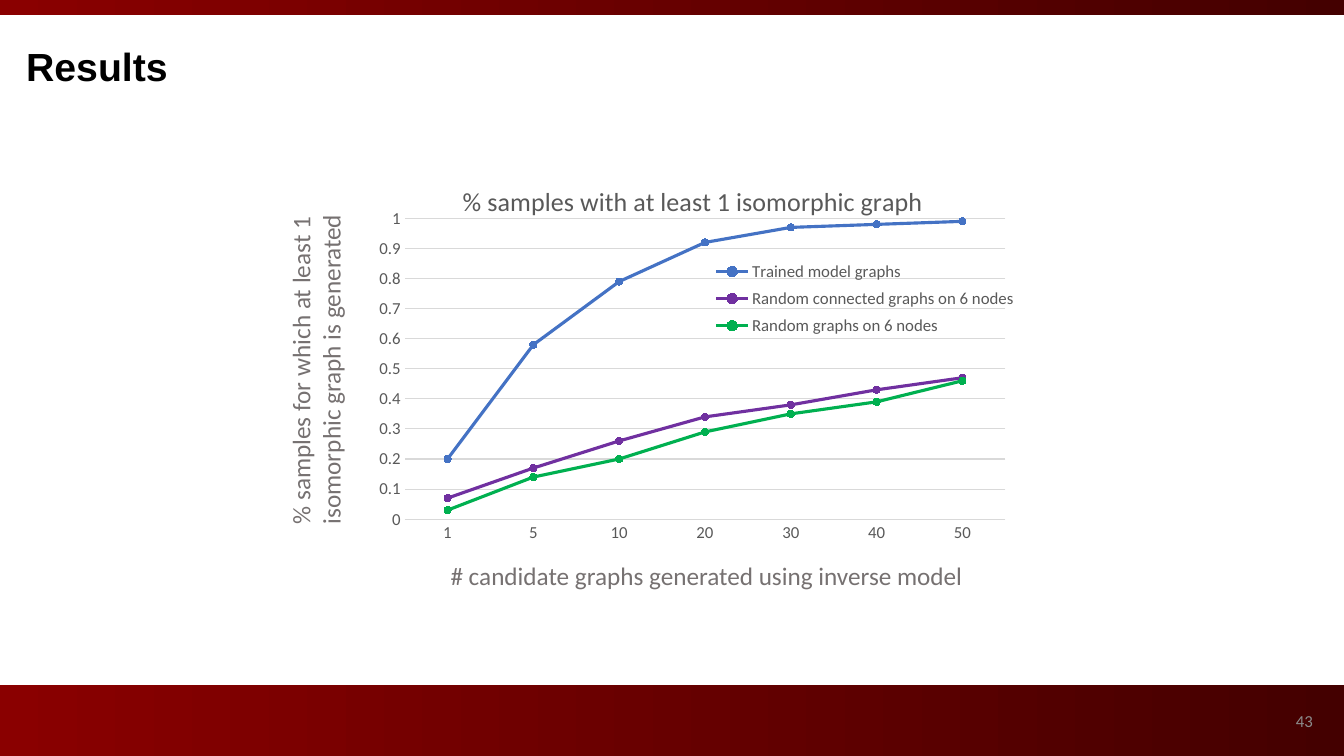
"""Build the results slide with its line chart of isomorphic graph rates."""
import dataclasses

import lxml.etree
import pptx
import pptx.chart.data
import pptx.dml.color
import pptx.enum.chart
import pptx.enum.shapes
import pptx.enum.text
import pptx.oxml.ns
import pptx.util

Inches = pptx.util.Inches
Pt = pptx.util.Pt


@dataclasses.dataclass(frozen=True)
class Theme:
    heading_font: str = "Arial"
    body_font: str = "Calibri"
    black: str = "000000"
    band_start: str = "8A0000"
    band_end: str = "440000"
    page_grey: str = "8C8C8C"
    label_grey: str = "767171"
    chart_grey: str = "595959"
    grid_grey: str = "D9D9D9"
    blue: str = "4472C4"
    purple: str = "7030A0"
    green: str = "00B050"
    heading_size: float = 28
    chart_title_size: float = 18.6
    label_size: float = 18
    small_size: float = 12


def rgb(color):
    return pptx.dml.color.RGBColor.from_string(color)


def style_font(font, name, size, color, bold=False):
    font.name = name
    font.size = Pt(size)
    font.color.rgb = rgb(color)
    font.bold = bold


def place_chart_part(element, index, **layout):
    qualified = pptx.oxml.ns.qn
    for previous in element.findall(qualified("c:layout")):
        element.remove(previous)
    outer = lxml.etree.Element(qualified("c:layout"))
    element.insert(index, outer)
    manual = lxml.etree.SubElement(outer, qualified("c:manualLayout"))
    for tag, value in layout.items():
        lxml.etree.SubElement(manual, qualified(f"c:{tag}")).set("val", str(value))


class SlideBuilder:
    def __init__(self, presentation, theme):
        self.theme = theme
        self.slide = presentation.slides.add_slide(presentation.slide_layouts[5])

    def band(self, top, height):
        shape = self.slide.shapes.add_shape(
            pptx.enum.shapes.MSO_SHAPE.RECTANGLE,
            0, Inches(top), Inches(13.33), Inches(height))
        shape.shadow.inherit = False
        shape.line.fill.background()
        shape.fill.gradient()
        shape.fill.gradient_angle = 0
        colors = (self.theme.band_start, self.theme.band_end)
        for stop, color in zip(shape.fill.gradient_stops, colors):
            stop.color.rgb = rgb(color)

    def title(self, text, left, top, width, height):
        shape = self.slide.shapes.title
        shape.left, shape.top = Inches(left), Inches(top)
        shape.width, shape.height = Inches(width), Inches(height)
        shape.text_frame.text = text
        shape.text_frame.vertical_anchor = pptx.enum.text.MSO_ANCHOR.TOP
        paragraph = shape.text_frame.paragraphs[0]
        paragraph.alignment = pptx.enum.text.PP_ALIGN.LEFT
        style_font(paragraph.runs[0].font, self.theme.heading_font,
                   self.theme.heading_size, self.theme.black, bold=True)

    def label(self, text, left, top, width, height, size, color, rotation=0,
              alignment=pptx.enum.text.PP_ALIGN.LEFT,
              anchor=pptx.enum.text.MSO_ANCHOR.TOP):
        shape = self.slide.shapes.add_textbox(
            Inches(left), Inches(top), Inches(width), Inches(height))
        shape.rotation = rotation
        shape.text_frame.word_wrap = True
        shape.text_frame.vertical_anchor = anchor
        shape.text_frame.text = text
        paragraph = shape.text_frame.paragraphs[0]
        paragraph.alignment = alignment
        style_font(paragraph.runs[0].font, self.theme.body_font, size, color)

    def line_chart(self, title, categories, series, left, top, width, height):
        theme = self.theme
        data = pptx.chart.data.CategoryChartData()
        data.categories = categories
        for name, values, _ in series:
            data.add_series(name, values)
        chart = self.slide.shapes.add_chart(
            pptx.enum.chart.XL_CHART_TYPE.LINE_MARKERS,
            Inches(left), Inches(top), Inches(width), Inches(height), data).chart
        style_font(chart.font, theme.body_font, theme.small_size, theme.chart_grey)

        chart.has_title = True
        chart.chart_title.text_frame.text = title
        run = chart.chart_title.text_frame.paragraphs[0].runs[0]
        style_font(run.font, theme.body_font, theme.chart_title_size, theme.chart_grey)

        self.format_axes(chart)
        chart.plots[0].vary_by_categories = False
        for line, (_, _, color) in zip(chart.plots[0].series, series):
            line.smooth = False
            line.format.line.color.rgb = rgb(color)
            line.format.line.width = Pt(2.25)
            line.marker.style = pptx.enum.chart.XL_MARKER_STYLE.CIRCLE
            line.marker.size = 5
            line.marker.format.fill.solid()
            line.marker.format.fill.fore_color.rgb = rgb(color)
            line.marker.format.line.color.rgb = rgb(color)

        chart.has_legend = True
        chart.legend.position = pptx.enum.chart.XL_LEGEND_POSITION.RIGHT
        chart.legend.include_in_layout = False
        style_font(chart.legend.font, theme.body_font, theme.small_size, theme.chart_grey)

        chart_element = chart.element.chart
        place_chart_part(chart_element.plotArea, 0, layoutTarget="inner",
                         xMode="edge", yMode="edge", x=0.07, y=0.15, w=0.9, h=0.75)
        place_chart_part(chart_element.find(pptx.oxml.ns.qn("c:title")), 1,
                         xMode="edge", yMode="edge", x=0.15, y=0.05)
        place_chart_part(chart_element.find(pptx.oxml.ns.qn("c:legend")), 1,
                         xMode="edge", yMode="edge", x=0.52, y=0.24, w=0.48, h=0.22)

    def format_axes(self, chart):
        theme = self.theme
        for axis in (chart.category_axis, chart.value_axis):
            axis.major_tick_mark = pptx.enum.chart.XL_TICK_MARK.NONE
            axis.minor_tick_mark = pptx.enum.chart.XL_TICK_MARK.NONE
            style_font(axis.tick_labels.font, theme.body_font,
                       theme.small_size, theme.chart_grey)
        value_axis = chart.value_axis
        value_axis.minimum_scale = 0
        value_axis.maximum_scale = 1
        value_axis.major_unit = 0.1
        value_axis.has_major_gridlines = True
        value_axis.format.line.fill.background()
        for line in (chart.category_axis.format.line,
                     value_axis.major_gridlines.format.line):
            line.color.rgb = rgb(theme.grid_grey)
            line.width = Pt(0.75)


def main():
    theme = Theme()
    presentation = pptx.Presentation()
    presentation.slide_width = Inches(13.33)
    presentation.slide_height = Inches(7.5)
    builder = SlideBuilder(presentation, theme)
    builder.band(6.8, 0.7)
    builder.band(0, 0.15)
    builder.label("43", 10.12, 6.95, 3, 0.4, theme.small_size, theme.page_grey,
                  alignment=pptx.enum.text.PP_ALIGN.RIGHT,
                  anchor=pptx.enum.text.MSO_ANCHOR.MIDDLE)
    builder.title("Results", 0.16, 0.37, 11.2, 0.57)
    builder.line_chart(
        "% samples with at least 1 isomorphic graph",
        ["1", "5", "10", "20", "30", "40", "50"],
        [
            ("Trained model graphs",
             (0.2, 0.58, 0.79, 0.92, 0.97, 0.98, 0.99), theme.blue),
            ("Random connected graphs on 6 nodes",
             (0.07, 0.17, 0.26, 0.34, 0.38, 0.43, 0.47), theme.purple),
            ("Random graphs on 6 nodes",
             (0.03, 0.14, 0.2, 0.29, 0.35, 0.39, 0.46), theme.green),
        ],
        3.55, 1.57, 6.62, 3.98)
    builder.label("# candidate graphs generated using inverse model",
                  4.37, 5.51, 5.3, 0.4, theme.label_size, theme.label_grey)
    builder.label("% samples for which at least 1 isomorphic graph is generated",
                  1, 2.81, 4.27, 0.71, theme.label_size, theme.label_grey, rotation=270)
    presentation.save("out.pptx")


if __name__ == "__main__":
    main()
